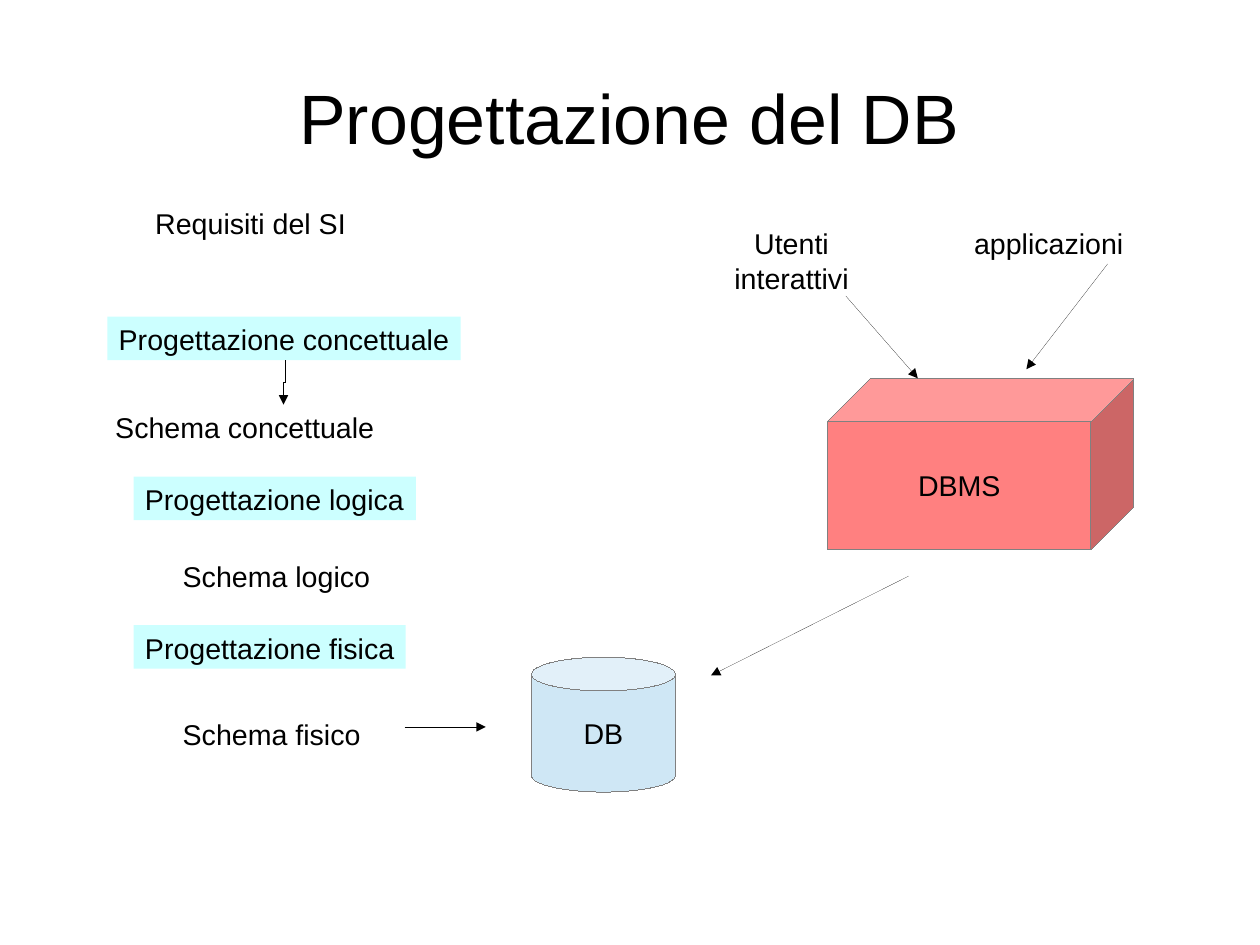
import pptx
import pptx.util
import pptx.dml.color
import pptx.enum.shapes
import pptx.enum.text
import pptx.oxml
import pptx.oxml.ns

Inches, Pt = pptx.util.Inches, pptx.util.Pt
ShapeType = pptx.enum.shapes.MSO_SHAPE
ConnectorType = pptx.enum.shapes.MSO_CONNECTOR
Anchor = pptx.enum.text.MSO_ANCHOR
Align = pptx.enum.text.PP_ALIGN
AutoSize = pptx.enum.text.MSO_AUTO_SIZE

# Content: places are in inches
COLORS = {"text": "000000", "step": "CCFFFF", "database": "CFE7F5",
          "dbms": "FF8080", "outline": "808080", "arrow": "000000"}
HAIRLINE = Pt(0.01)
TITLE = "Progettazione del DB"
TITLE_BOX = (0.55, 0.33, 9.92, 1.38)
LINE_HEIGHT = 0.38

# Text, left, top, width
STEPS = [
    ("Progettazione concettuale", 0.94, 2.77, 3.09),
    ("Progettazione logica", 1.17, 4.17, 2.47),
    ("Progettazione fisica", 1.17, 5.47, 2.38),
]
RESULTS = [
    ("Requisiti del SI", 1.26, 1.75, 4.25),
    ("Schema concettuale", 0.91, 3.54, 3.15),
    ("Schema logico", 1.5, 4.84, 3.15),
    ("Schema fisico", 1.5, 6.22, 3.15),
]
# Text, left, top, width, height
CLIENTS = [
    ("Utenti interattivi", 6.14, 1.93, 1.57, 0.66),
    ("applicazioni", 8.39, 1.93, 1.57, LINE_HEIGHT),
]
# Text, preset, fill, box
SYSTEMS = [
    ("DB", ShapeType.CAN, "database", (4.65, 5.75, 1.26, 1.18)),
    ("DBMS", ShapeType.CUBE, "dbms", (7.24, 3.31, 2.68, 1.5)),
]
# From x, y, to x, y
ARROWS = [
    (3.54, 6.36, 4.25, 6.36),
    (7.95, 5.04, 6.22, 5.91),
    (7.4, 2.59, 8.03, 3.31),
    (9.69, 2.31, 8.98, 3.23),
]
# Elbow arrow laid out horizontally, then turned a quarter clockwise
STEP_ARROW = (2.29, 3.34, 2.68, 3.35)
QUARTER_TURN = "5400000"


def rgb(name):
    return pptx.dml.color.RGBColor.from_string(COLORS[name])


def inches(values):
    return [Inches(value) for value in values]


def write(shape, text, size=18, align=Align.LEFT, **frame_format):
    frame = shape.text_frame
    frame.text = text
    for name, value in frame_format.items():
        setattr(frame, name, value)
    paragraph = frame.paragraphs[0]
    paragraph.alignment = align
    for name, value in {"name": "Arial", "size": Pt(size)}.items():
        setattr(paragraph.font, name, value)
    paragraph.font.color.rgb = rgb("text")


def add_box(slide, preset, box, fill, outline=None):
    shape = slide.shapes.add_shape(preset, *inches(box))
    shape.shadow.inherit = False
    shape.fill.solid()
    shape.fill.fore_color.rgb = rgb(fill)
    if outline:
        shape.line.color.rgb = rgb(outline)
        shape.line.width = HAIRLINE
    else:
        shape.line.fill.background()
    return shape


def add_arrow(slide, kind, ends):
    connector = slide.shapes.add_connector(kind, *inches(ends))
    connector.line.color.rgb = rgb("arrow")
    connector.line.width = HAIRLINE
    line = connector.line._get_or_add_ln()
    head = pptx.oxml.parse_xml(
        f'<a:tailEnd {pptx.oxml.ns.nsdecls("a")} type="triangle"/>')
    line.append(head)
    effects = pptx.oxml.parse_xml(
        f'<a:effectLst {pptx.oxml.ns.nsdecls("a")}/>')
    connector._element.spPr.append(effects)
    return connector


def main():
    presentation = pptx.Presentation()
    presentation.slide_width = pptx.util.Cm(28)
    presentation.slide_height = pptx.util.Cm(21)
    slide = presentation.slides.add_slide(presentation.slide_layouts[5])

    # Title
    title = slide.shapes.title
    title.left, title.top, title.width, title.height = inches(TITLE_BOX)
    margins = dict.fromkeys(
        ["margin_left", "margin_top", "margin_right", "margin_bottom"], 0)
    write(title, TITLE, 44, Align.CENTER, word_wrap=True,
          vertical_anchor=Anchor.MIDDLE, **margins)

    # Design steps and their results
    for text, *place in STEPS:
        step = add_box(slide, ShapeType.RECTANGLE, (*place, LINE_HEIGHT), "step")
        write(step, text, word_wrap=False, vertical_anchor=Anchor.TOP,
              auto_size=AutoSize.SHAPE_TO_FIT_TEXT)
    labels = [(text, (*place, LINE_HEIGHT), Align.LEFT)
              for text, *place in RESULTS]

    # Users of the system
    labels += [(text, box, Align.CENTER) for text, *box in CLIENTS]
    for text, box, align in labels:
        label = slide.shapes.add_textbox(*inches(box))
        write(label, text, align=align, word_wrap=True,
              auto_size=AutoSize.SHAPE_TO_FIT_TEXT)

    # Database and its management system
    for text, preset, fill, box in SYSTEMS:
        system = add_box(slide, preset, box, fill, "outline")
        system.adjustments[0] = 0.25
        write(system, text, align=Align.CENTER, word_wrap=False,
              vertical_anchor=Anchor.MIDDLE)

    # Arrows
    for ends in ARROWS:
        add_arrow(slide, ConnectorType.STRAIGHT, ends)
    step_arrow = add_arrow(slide, ConnectorType.ELBOW, STEP_ARROW)
    step_arrow._element.spPr.xfrm.set("rot", QUARTER_TURN)

    presentation.save("out.pptx")


if __name__ == "__main__":
    main()
